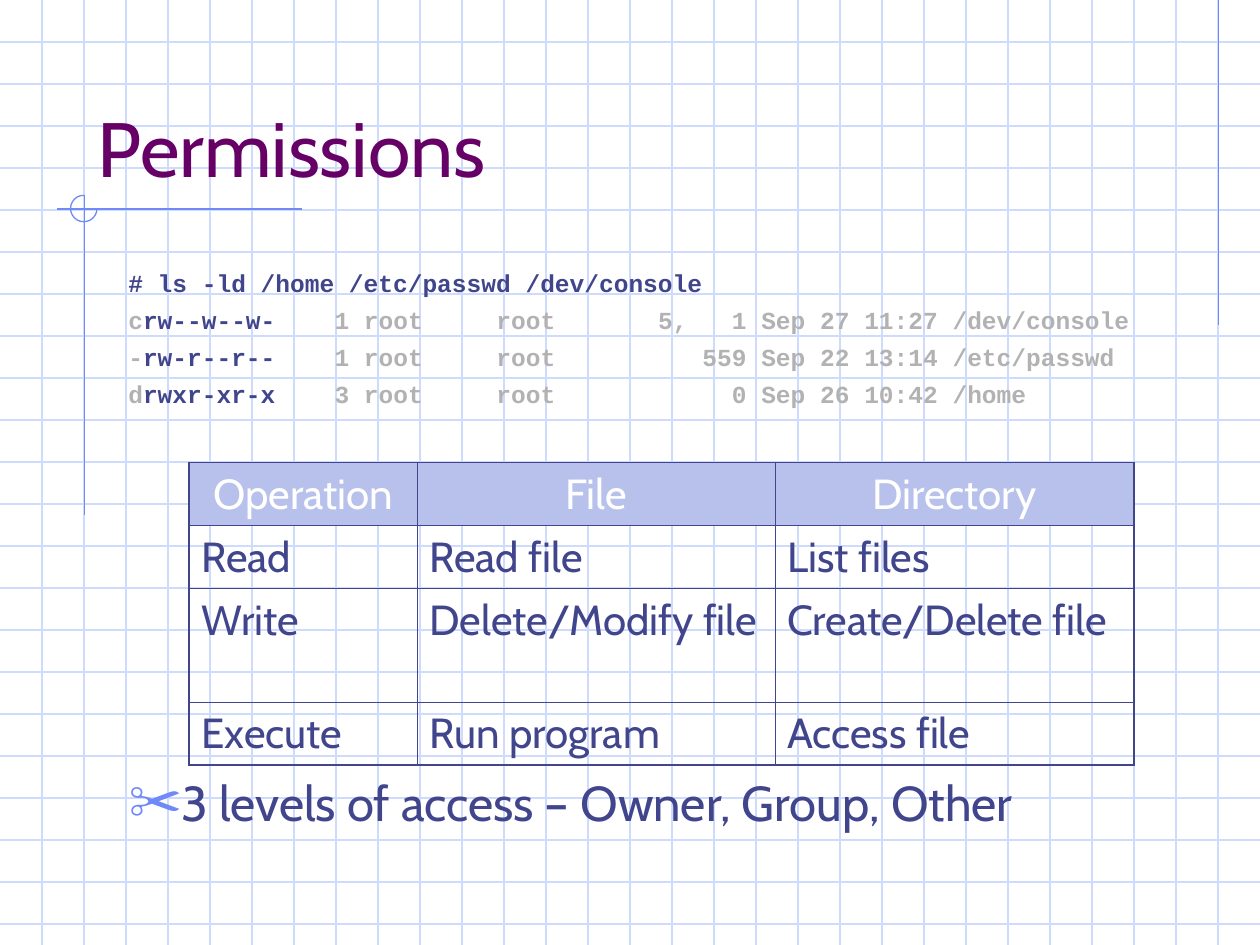
import lxml.etree
import pptx
import pptx.dml.color
import pptx.enum.shapes
import pptx.enum.text
import pptx.oxml.ns
import pptx.util

Inches = pptx.util.Inches
RGBColor = pptx.dml.color.RGBColor
qn = pptx.oxml.ns.qn

GRID = RGBColor(0xCF, 0xDB, 0xFD)
ACCENT = RGBColor(0x6F, 0x89, 0xF7)
PURPLE = RGBColor(0x66, 0x00, 0x66)
NAVY = RGBColor(0x40, 0x45, 0x8C)
GRAY = RGBColor(0xB2, 0xB2, 0xB2)
HEADER = RGBColor(0xB7, 0xC1, 0xEB)
WHITE = RGBColor(0xFF, 0xFF, 0xFF)

WIDTH, HEIGHT = 10, 7.5
SPACING = 1 / 3
OUTER, INNER = 1.08, 0.45

COMMAND = "# ls -ld /home /etc/passwd /dev/console"
ENTRIES = [
    ("c", "rw--w--w-", 1, "5,   1", "Sep 27 11:27", "/dev/console"),
    ("-", "rw-r--r--", 1, "559", "Sep 22 13:14", "/etc/passwd"),
    ("d", "rwxr-xr-x", 3, "0", "Sep 26 10:42", "/home"),
]
OPERATIONS = [
    ("Operation", "File", "Directory"),
    ("Read", "Read file", "List files"),
    ("Write", "Delete/Modify file", "Create/Delete file"),
    ("Execute", "Run program", "Access file"),
]
COLUMN_WIDTHS = [1.81, 2.84, 2.85]
ROW_HEIGHTS = [0.5, 0.5, 0.9, 0.5]


def add_span(para, text, font="Cabin", size=24, color=NAVY, bold=False):
    span = para.add_run()
    span.text = text
    span.font.name = font
    span.font.size = pptx.util.Pt(size)
    span.font.color.rgb = color
    span.font.bold = bold


def add_line(page, x1, y1, x2, y2, color):
    line = page.shapes.add_connector(
        pptx.enum.shapes.MSO_CONNECTOR.STRAIGHT,
        Inches(x1), Inches(y1), Inches(x2), Inches(y2))
    line.line.color.rgb = color
    line.line.width = pptx.util.Pt(0.75)
    lxml.etree.SubElement(line.element.spPr, qn("a:effectLst"))


def add_background(page):
    for step in range(1, 23):
        add_line(page, 0, step * SPACING, WIDTH, step * SPACING, GRID)
    for step in range(1, 30):
        add_line(page, step * SPACING, 0, step * SPACING, HEIGHT, GRID)
    add_line(page, 9.67, 0, 9.67, 2.58, ACCENT)
    add_line(page, 2.4, 1.66, 0.45, 1.66, ACCENT)
    add_line(page, 0.67, 1.55, 0.67, 4.09, ACCENT)
    arc = page.shapes.add_shape(
        pptx.enum.shapes.MSO_SHAPE.ARC,
        Inches(0.56), Inches(1.55), Inches(0.21), Inches(0.21))
    arc.adjustments[0] = 0
    arc.adjustments[1] = 162
    arc.shadow.inherit = False
    arc.fill.background()
    arc.line.color.rgb = ACCENT
    arc.line.width = pptx.util.Pt(0.75)


def place(box, left, top, width, height, anchor):
    box.left, box.top = Inches(left), Inches(top)
    box.width, box.height = Inches(width), Inches(height)
    frame = box.text_frame
    frame.word_wrap = True
    frame.auto_size = pptx.enum.text.MSO_AUTO_SIZE.NONE
    frame.vertical_anchor = anchor
    box.element.getparent().append(box.element)
    return frame.paragraphs[0]


def set_hanging_indent(para):
    properties = para._p.get_or_add_pPr()
    properties.set("marL", str(Inches(0.38)))
    properties.set("indent", str(Inches(-0.38)))
    return properties


def add_title(page):
    para = place(page.shapes.title, 0.67, 0.33, 8.5, 1.25,
                 pptx.enum.text.MSO_ANCHOR.BOTTOM)
    para.alignment = pptx.enum.text.PP_ALIGN.LEFT
    add_span(para, "Permissions", size=44, color=PURPLE)


def add_body(page):
    para = place(page.placeholders[1], 0.92, 6.08, 8.5, 0.67,
                 pptx.enum.text.MSO_ANCHOR.TOP)
    para.space_before = pptx.util.Pt(7)
    properties = set_hanging_indent(para)
    color = lxml.etree.SubElement(properties, qn("a:buClr"))
    lxml.etree.SubElement(color, qn("a:srgbClr"), val=str(ACCENT))
    lxml.etree.SubElement(properties, qn("a:buSzPct"), val="110000")
    lxml.etree.SubElement(properties, qn("a:buChar"), char="✂")
    add_span(para, "3 levels of access – Owner, Group, Other", size=28)


def add_listing(page):
    box = page.shapes.add_textbox(
        Inches(0.92), Inches(2.08), Inches(8.5), Inches(1.33))
    frame = box.text_frame
    frame.word_wrap = True
    lines = [[(COMMAND, NAVY)]]
    for kind, mode, links, size, date, name in ENTRIES:
        details = f"{links:>5} {'root':<8} {'root':<8}{size:>9} {date} {name}"
        lines.append([(kind, GRAY), (mode, NAVY), (details, GRAY)])
    for index, line in enumerate(lines):
        para = frame.add_paragraph() if index else frame.paragraphs[0]
        para.space_before = pptx.util.Pt(4.2)
        set_hanging_indent(para)
        for text, color in line:
            add_span(para, text, font="Courier New", size=14,
                     color=color, bold=True)


def set_borders(cell, widths):
    properties = cell._tc.get_or_add_tcPr()
    for index, (side, width) in enumerate(widths.items()):
        border = lxml.etree.Element(
            qn("a:ln" + side), w=str(pptx.util.Pt(width)))
        fill = lxml.etree.SubElement(border, qn("a:solidFill"))
        lxml.etree.SubElement(fill, qn("a:srgbClr"), val=str(NAVY))
        properties.insert(index, border)


def add_operations_table(page):
    last_row, last_column = len(ROW_HEIGHTS) - 1, len(COLUMN_WIDTHS) - 1
    table = page.shapes.add_table(
        len(ROW_HEIGHTS), len(COLUMN_WIDTHS), Inches(1.5), Inches(3.67),
        Inches(sum(COLUMN_WIDTHS)), Inches(sum(ROW_HEIGHTS))).table
    table.first_row = False
    table.horz_banding = False
    for column, width in zip(table.columns, COLUMN_WIDTHS):
        column.width = Inches(width)
    for row, height in zip(table.rows, ROW_HEIGHTS):
        row.height = Inches(height)
    for row, texts in enumerate(OPERATIONS):
        for column, text in enumerate(texts):
            cell = table.cell(row, column)
            para = cell.text_frame.paragraphs[0]
            para.space_before = pptx.util.Pt(6)
            if row == 0:
                cell.fill.solid()
                cell.fill.fore_color.rgb = HEADER
                para.alignment = pptx.enum.text.PP_ALIGN.CENTER
            else:
                cell.fill.background()
            add_span(para, text, color=NAVY if row else WHITE)
            set_borders(cell, {
                "L": INNER if column else OUTER,
                "R": OUTER if column == last_column else INNER,
                "T": INNER if row else OUTER,
                "B": OUTER if row == last_row else INNER,
            })


def main():
    deck = pptx.Presentation()
    deck.slide_width, deck.slide_height = Inches(WIDTH), Inches(HEIGHT)
    page = deck.slides.add_slide(deck.slide_layouts[1])
    add_background(page)
    add_title(page)
    add_body(page)
    add_listing(page)
    add_operations_table(page)
    deck.save("out.pptx")


if __name__ == "__main__":
    main()
